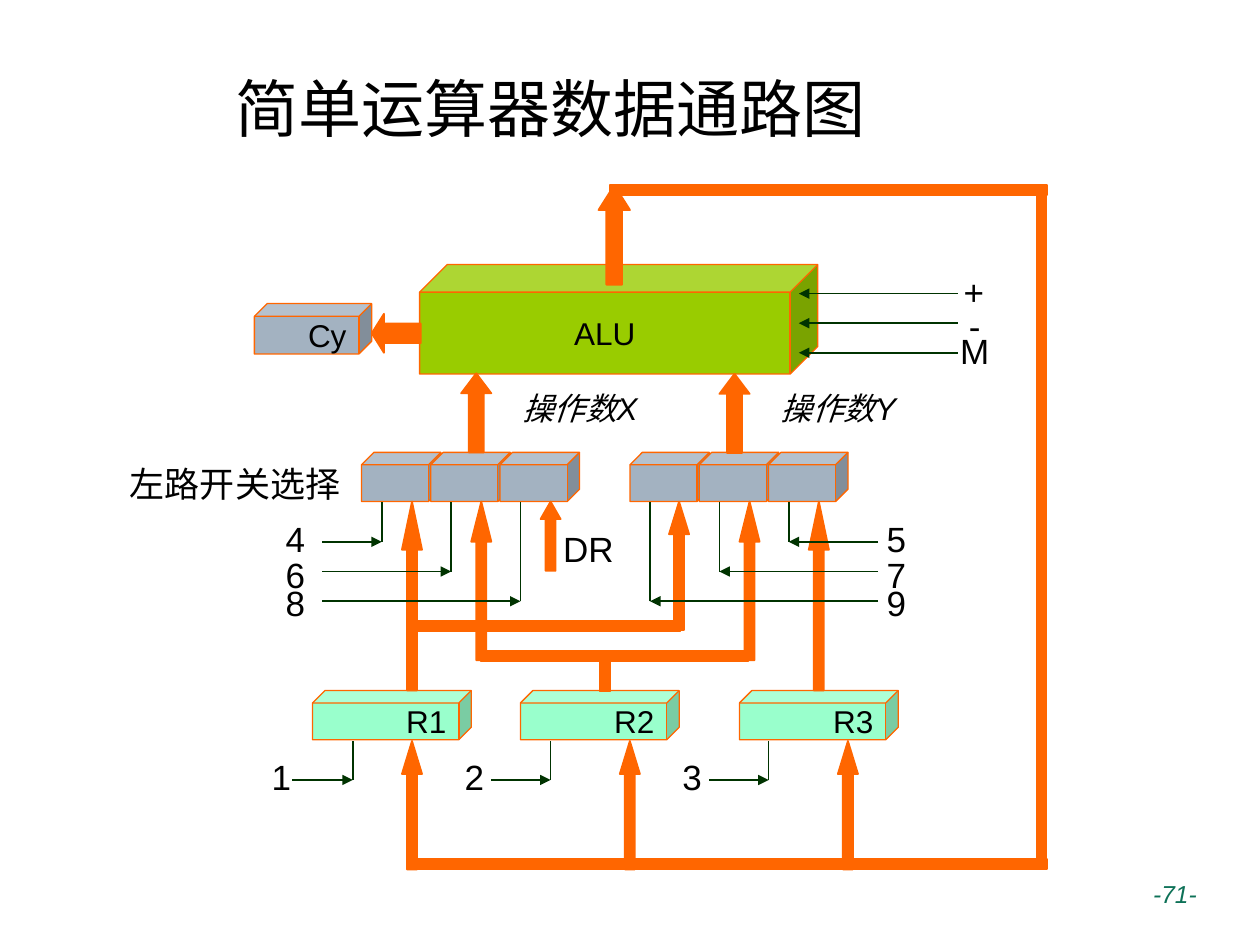
"""Build a slide with the data path of a simple arithmetic unit."""
from lxml.etree import SubElement
from pptx import Presentation
from pptx.dml.color import RGBColor
from pptx.enum.shapes import MSO_CONNECTOR, MSO_SHAPE
from pptx.enum.text import MSO_ANCHOR, MSO_AUTO_SIZE, PP_ALIGN
from pptx.oxml.ns import qn
from pptx.util import Pt

ORANGE = RGBColor(0xFF, 0x66, 0x00)
LIME = RGBColor(0x99, 0xCC, 0x00)
GREY = RGBColor(0xA3, 0xB2, 0xC1)
MINT = RGBColor(0x99, 0xFF, 0xCC)
DARK_GREEN = RGBColor(0x00, 0x33, 0x00)
PAGE_GREEN = RGBColor(0x0D, 0x71, 0x57)
BLACK = RGBColor(0x00, 0x00, 0x00)
CJK_FONT = "Noto Sans CJK JP"


def write_text(shape, text, size, align=PP_ALIGN.RIGHT, wrap=False,
               italic=None, color=BLACK, font_name="Arial"):
    frame = shape.text_frame
    frame.text = text
    frame.word_wrap = wrap
    paragraph = frame.paragraphs[0]
    paragraph.alignment = align
    run = paragraph.runs[0]
    run.font.size = Pt(size)
    run.font.italic = italic
    run.font.color.rgb = color
    run.font.name = font_name
    SubElement(run.font._element, qn("a:ea"), typeface=CJK_FONT)
    return frame


def add_block(kind, left, top, width, height, fill, line_width, adjustments=()):
    shape = slide.shapes.add_shape(kind, Pt(left), Pt(top), Pt(width), Pt(height))
    shape.shadow.inherit = False
    shape.fill.solid()
    shape.fill.fore_color.rgb = fill
    shape.line.color.rgb = ORANGE
    shape.line.width = Pt(line_width)
    for index, value in enumerate(adjustments):
        shape.adjustments[index] = value
    return shape


presentation = Presentation()
presentation.slide_width = Pt(720)
presentation.slide_height = Pt(540)
slide = presentation.slides.add_slide(presentation.slide_layouts[6])

cubes = [
    ("ALU", 239.8, 151.2, 227.5, 62.6, LIME, PP_ALIGN.CENTER),
    ("Cy", 145.4, 173.5, 67, 28.8, GREY, PP_ALIGN.RIGHT),
]
for first_left in (206.6, 360):
    for index in range(3):
        cubes.append(("", first_left + 39.6 * index, 258.5, 45.4, 28.1, GREY, None))
for name, left in (("R1", 178.6), ("R2", 297.4), ("R3", 422.6)):
    cubes.append((name, left, 394.6, 90.7, 28.1, MINT, PP_ALIGN.RIGHT))
for name, left, top, width, height, fill, align in cubes:
    cube = add_block(MSO_SHAPE.CUBE, left, top, width, height, fill, 0.75, [0.252])
    if name:
        frame = write_text(cube, name, 18, align)
        frame.vertical_anchor = MSO_ANCHOR.MIDDLE

up_arrows = [
    (342, 105.8, 18, 56.9, 0.788),
    (263.5, 213.3, 17.3, 45.2, 0.665),
    (411.1, 213.6, 17.3, 45.2, 0.665),
    (229.7, 286.6, 11.5, 108, 2.394),
    (462.2, 286.6, 11.5, 108, 2.394),
    (382.3, 286.6, 11.5, 73.4, 1.621),
    (269.3, 286.6, 11.5, 90.7, 1.994),
    (422.6, 286.6, 11.5, 90.7, 1.994),
    (308.9, 286.6, 11.5, 39.6, 0.874),
]
for left in (229.7, 354.2, 478.8):
    up_arrows.append((left, 423.4, 11.5, 73.4, 1.639))
for left, top, width, height, head in up_arrows:
    add_block(MSO_SHAPE.UP_ARROW, left, top, width, height, ORANGE, 1, [0.5, head])
add_block(MSO_SHAPE.LEFT_ARROW, 212.4, 179.3, 28.1, 22.3, ORANGE, 1, [0.5, 0.314])

bus_bars = [
    (592.2, 111.2, 5.8, 379.4),
    (348.5, 105.8, 249.8, 5.8),
    (275, 372.2, 152.6, 5.8),
    (342.7, 372.2, 5.8, 23),
    (235.4, 491, 362.9, 5.8),
    (235.4, 355, 153.4, 5.8),
]
for left, top, width, height in bus_bars:
    add_block(MSO_SHAPE.RECTANGLE, left, top, width, height, ORANGE, 1)

control_lines = []
for index in range(3):
    operation_y = 167.8 + 16.9 * index
    switch_y = 309.6 + 17 * index
    left_x = 218.2 + 39.6 * index
    right_x = 450.7 - 39.6 * index
    control_lines += [
        (547.2, operation_y, 456.5, operation_y, True),
        (184.3, switch_y, left_x, switch_y, True),
        (left_x, switch_y, left_x, 286.6, False),
        (501.8, switch_y, right_x, switch_y, True),
        (right_x, switch_y, right_x, 286.6, False),
    ]
for start_x, end_x in ((167, 201.6), (280.8, 314.6), (405.4, 439.2)):
    control_lines += [
        (start_x, 445.7, end_x, 445.7, True),
        (end_x, 445.7, end_x, 423.4, False),
    ]
for start_x, start_y, end_x, end_y, has_head in control_lines:
    connector = slide.shapes.add_connector(
        MSO_CONNECTOR.STRAIGHT, Pt(start_x), Pt(start_y), Pt(end_x), Pt(end_y))
    connector.line.color.rgb = DARK_GREEN
    connector.line.width = Pt(1)
    if has_head:
        SubElement(connector.line._get_or_add_ln(), qn("a:tailEnd"), type="triangle")
    SubElement(connector._element.spPr, qn("a:effectLst"))

labels = [
    ("左路开关选择", 67, 260.6, 134.6),
    ("DR", 314.6, 298.1, 43.2),
    ("+", 543.6, 151.2, 25.9),
    ("-", 546.5, 170.6, 20.9),
    ("M", 541.4, 185, 31),
    ("1", 147.6, 428.4, 25.9),
    ("2", 257.8, 428.4, 25.9),
    ("3", 382.3, 428.4, 25.9),
]
for left_digit, right_digit, top in (("4", "5", 292.3), ("6", "7", 312.5), ("8", "9", 329)):
    labels += [(left_digit, 155.5, top, 25.9), (right_digit, 499, top, 25.9)]
for text, left, top, width in labels:
    label = slide.shapes.add_textbox(Pt(left), Pt(top), Pt(width), Pt(31))
    frame = write_text(label, text, 20)
    frame.auto_size = MSO_AUTO_SIZE.SHAPE_TO_FIT_TEXT

for text, left in (("操作数X", 269.3), ("操作数Y", 416.9)):
    operand = slide.shapes.add_textbox(Pt(left), Pt(218.9), Pt(102.2), Pt(28.8))
    frame = write_text(operand, text, 18, wrap=True, italic=True)
    frame.auto_size = MSO_AUTO_SIZE.SHAPE_TO_FIT_TEXT

title = slide.shapes.add_textbox(Pt(127.4), Pt(25.9), Pt(510.5), Pt(71.3))
frame = write_text(title, "简单运算器数据通路图", 36, PP_ALIGN.LEFT, True, font_name=CJK_FONT)
frame.vertical_anchor = MSO_ANCHOR.MIDDLE

page_number = slide.shapes.add_textbox(Pt(611), Pt(499), Pt(80), Pt(37.4))
write_text(page_number, "-71-", 14, wrap=True, italic=True, color=PAGE_GREEN)

presentation.save("out.pptx")
